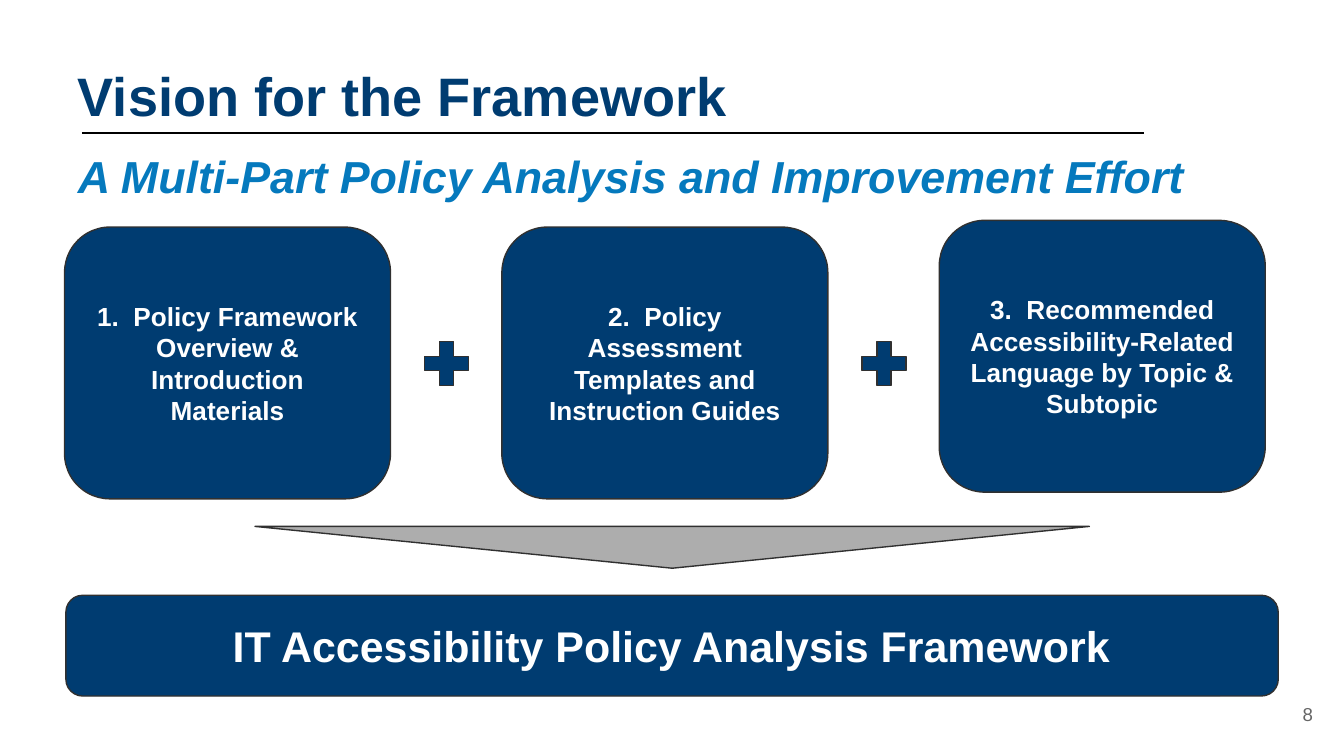
from lxml.etree import SubElement
from pptx import Presentation
from pptx.dml.color import RGBColor
from pptx.enum.shapes import MSO_CONNECTOR, MSO_SHAPE
from pptx.enum.text import MSO_ANCHOR, PP_ALIGN
from pptx.oxml.ns import qn
from pptx.util import Pt

COLORS = {
    "navy": "003C71",
    "blue": "0579BD",
    "white": "FFFFFF",
    "black": "000000",
    "outline": "303030",
    "gray": "ADADAD",
    "number": "666666",
}
PARTS = [
    "1.  Policy Framework Overview & Introduction Materials",
    "2.  Policy Assessment Templates and Instruction Guides",
    "3.  Recommended Accessibility-Related Language by Topic & Subtopic",
]
PART_TOPS = [121.7, 121.7, 118.1]
PART_LEFT, PLUS_LEFT, PITCH = 34.6, 223.2, 234.3


def color(name):
    return RGBColor.from_string(COLORS[name])


def write_text(shape, text, size, fill="white", bold=True, italic=False,
               align=PP_ALIGN.CENTER, anchor=MSO_ANCHOR.MIDDLE,
               line_spacing=None, space_after=None):
    frame = shape.text_frame
    frame.word_wrap = True
    frame.vertical_anchor = anchor
    frame.margin_left = frame.margin_right = Pt(7.2)
    frame.margin_top = frame.margin_bottom = Pt(7.2)
    paragraph = frame.paragraphs[0]
    paragraph.alignment = align
    paragraph.line_spacing = line_spacing
    paragraph.space_after = space_after
    run = paragraph.add_run()
    run.text = text
    run.font.name = "Arial"
    run.font.size = Pt(size)
    run.font.bold = bold
    run.font.italic = italic
    run.font.color.rgb = color(fill)


class SlideBuilder:
    """Holds the shared style and the slide being built."""

    outline = "outline"
    outline_width = 0.75

    def __init__(self, slide):
        self.slide = slide

    def text(self, box, text, size, **style):
        shape = self.slide.shapes.add_textbox(*map(Pt, box))
        write_text(shape, text, size, **style)

    def shape(self, kind, box, fill="navy", adjustment=None, rotation=0):
        shape = self.slide.shapes.add_shape(kind, *map(Pt, box))
        shape.shadow.inherit = False
        shape.fill.solid()
        shape.fill.fore_color.rgb = color(fill)
        shape.line.color.rgb = color(self.outline)
        shape.line.width = Pt(self.outline_width)
        shape.rotation = rotation
        if adjustment is not None:
            shape.adjustments[0] = adjustment
        return shape

    def panel(self, box, text, size):
        shape = self.shape(MSO_SHAPE.ROUNDED_RECTANGLE, box, adjustment=0.167)
        write_text(shape, text, size)

    def rule(self, left, right, top):
        connector = self.slide.shapes.add_connector(
            MSO_CONNECTOR.STRAIGHT, Pt(left), Pt(top), Pt(right), Pt(top))
        connector.line.color.rgb = color("black")
        connector.line.width = Pt(1.5)
        SubElement(connector._element.spPr, qn("a:effectLst"))


def main():
    presentation = Presentation()
    presentation.slide_width = Pt(720)
    presentation.slide_height = Pt(405)
    slide = presentation.slides.add_slide(presentation.slide_layouts[6])
    builder = SlideBuilder(slide)

    builder.rule(43.9, 612.7, 71.3)
    builder.text((34.6, 6.5, 632.9, 69.1), "Vision for the Framework", 29,
                 fill="navy", align=PP_ALIGN.LEFT, anchor=MSO_ANCHOR.BOTTOM)
    builder.text((34.6, 68.4, 632.9, 31),
                 "A Multi-Part Policy Analysis and Improvement Effort", 24,
                 fill="blue", italic=True, align=PP_ALIGN.LEFT,
                 anchor=MSO_ANCHOR.TOP, line_spacing=1.15, space_after=Pt(16))

    for index, (part, top) in enumerate(zip(PARTS, PART_TOPS)):
        offset = index * PITCH
        builder.panel((PART_LEFT + offset, top, 174.6, 145.6), part, 14)
        if index < len(PARTS) - 1:
            builder.shape(MSO_SHAPE.MATH_PLUS,
                          (PLUS_LEFT + offset, 178.7, 32, 32),
                          adjustment=0.235)

    builder.shape(MSO_SHAPE.ISOSCELES_TRIANGLE, (136.6, 282, 447, 22.4),
                  fill="gray", rotation=180)
    builder.panel((35.3, 318.9, 649.5, 54),
                  "IT Accessibility Policy Analysis Framework", 23)
    builder.text((667.2, 367.2, 43.2, 31), "8", 10, fill="number",
                 bold=False, align=PP_ALIGN.RIGHT)

    presentation.save("out.pptx")


if __name__ == "__main__":
    main()
